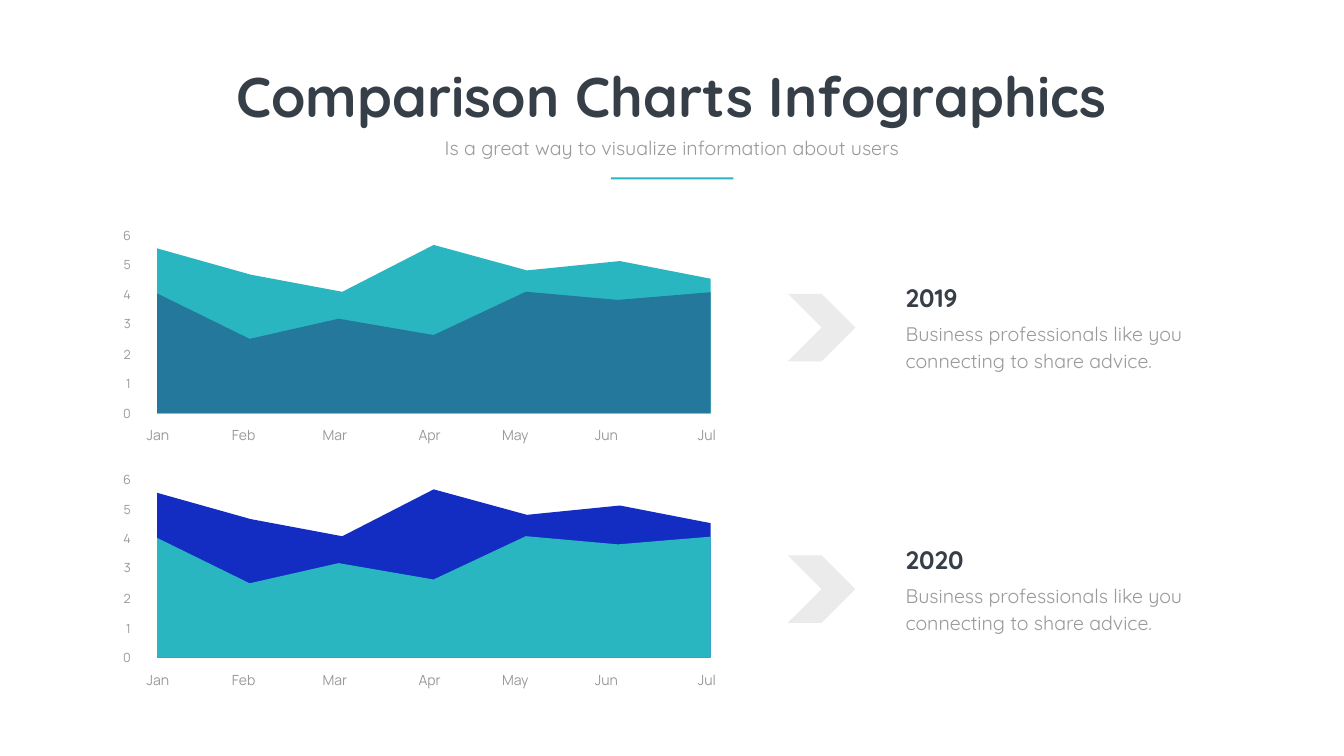
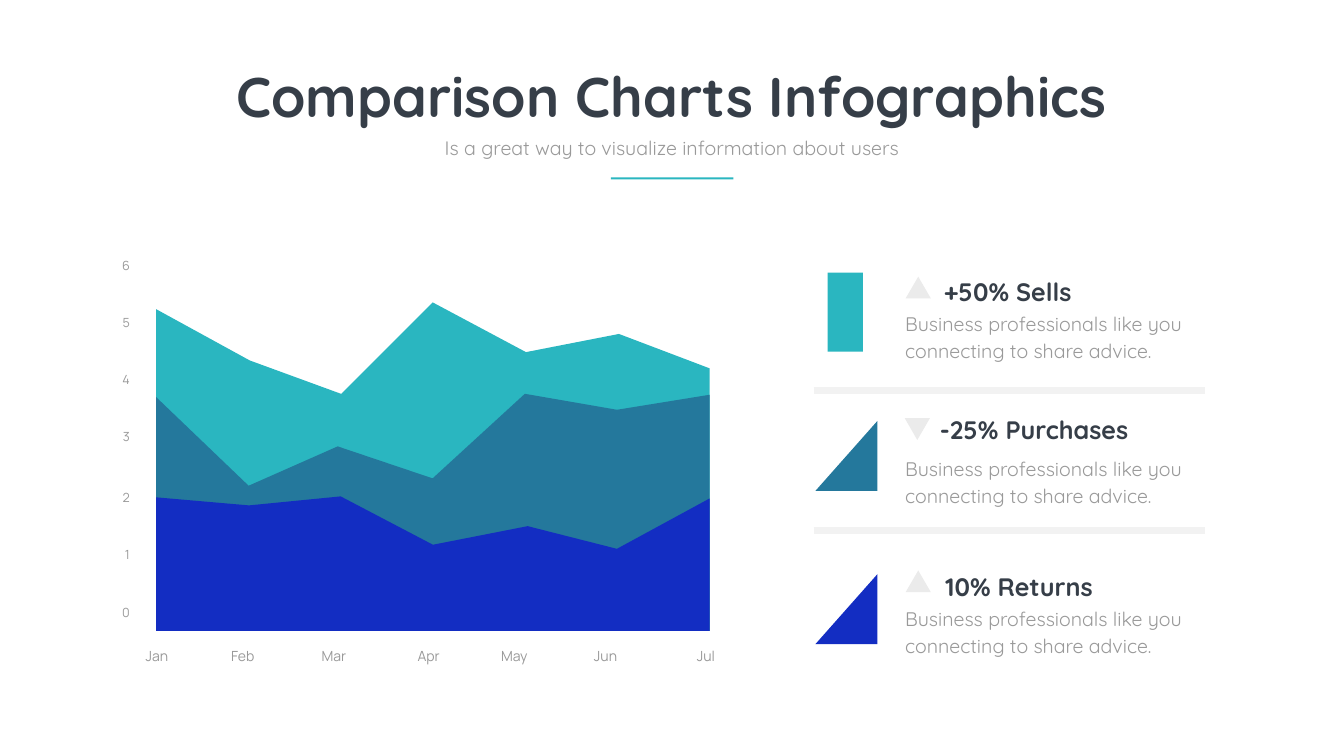
"""Build two comparison chart slides with layered areas and captions."""
from dataclasses import dataclass
from typing import Any, NamedTuple

from lxml.etree import SubElement
from pptx import Presentation
from pptx.dml.color import RGBColor
from pptx.enum.shapes import MSO_CONNECTOR, MSO_SHAPE
from pptx.enum.text import PP_ALIGN
from pptx.oxml.ns import qn
from pptx.util import Pt


@dataclass(frozen=True)
class Theme:
    teal: str = "2AB6C0"
    steel: str = "24789C"
    blue: str = "132DC2"
    ink: str = "363E48"
    muted: str = "999999"
    marker: str = "EBEBEB"
    rule: str = "F2F2F2"
    text_font: str = "Quicksand"
    axis_font: str = "Manrope"
    title_size: float = 80
    heading_size: float = 36
    body_size: float = 28
    month_size: float = 20
    tick_size: float = 18
    body_spacing: float = 38.6
    axis_spacing: float = 35.6


THEME = Theme()


class Frame(NamedTuple):
    left: float
    top: float
    width: float
    height: float


class TextStyle(NamedTuple):
    size: float
    color: str = THEME.muted
    name: str = THEME.text_font
    bold: bool = False
    alignment: Any = PP_ALIGN.LEFT
    line_spacing: float | None = None
    wrap: bool = True


class Outline(NamedTuple):
    offsets: tuple[float, ...]
    depths: tuple[float, ...]


class Layer(NamedTuple):
    outline: Outline
    color: str


class Plot(NamedTuple):
    left: float
    top: float
    height: float
    layers: tuple[Layer, ...]


class Year(NamedTuple):
    label: str
    top: float
    plot: Plot


class Metric(NamedTuple):
    label: str
    heading_left: float
    heading_top: float
    body_top: float
    swatch: Any
    swatch_frame: Frame
    swatch_color: str
    marker_left: float
    marker_top: float
    marker_rotation: float = 0


TITLE = TextStyle(THEME.title_size, THEME.ink, bold=True, alignment=PP_ALIGN.CENTER, wrap=False)
SUBTITLE = TextStyle(THEME.body_size, alignment=PP_ALIGN.CENTER)
HEADING = TextStyle(THEME.heading_size, THEME.ink, bold=True)
BODY = TextStyle(THEME.body_size, line_spacing=THEME.body_spacing)
MONTH = TextStyle(THEME.month_size, name=THEME.axis_font, alignment=PP_ALIGN.CENTER,
                  line_spacing=THEME.axis_spacing)
TICK = TextStyle(THEME.tick_size, name=THEME.axis_font, alignment=PP_ALIGN.RIGHT,
                 line_spacing=THEME.axis_spacing)

ADVICE = "Business professionals like you connecting to share advice."
BASE_HEIGHT = 240.5
PLOT_WIDTH = 790.6
MONTHS = {"Jan": -50.4, "Feb": 72, "Mar": 202.3, "Apr": 337.7,
          "May": 460.1, "Jun": 590.4, "Jul": 733.7}
TICKS = {"6": -41.8, "5": 0, "4": 41.8, "3": 83.5, "2": 128, "1": 170, "0": 212.4}
UPPER = Outline((0, 133.6, 264.4, 395, 528.2, 661, PLOT_WIDTH),
                (5, 42.5, 67, 0, 36.4, 23.1, 48.3))
MIDDLE = Outline((0, 132, 259.2, 394.8, 526.6, 658.2, PLOT_WIDTH),
                 (69.4, 134.2, 105.4, 128.8, 66.9, 78.6, 67.6))
LOWER = Outline((0, 132.5, 263.5, 395.3, 530.6, 658.1, PLOT_WIDTH),
                (142.7, 148.6, 142, 177.4, 163.8, 180.4, 143.5))

YEARS = (
    Year("2019", 400.3, Plot(224.6, 349.9, BASE_HEIGHT,
                             (Layer(UPPER, THEME.teal), Layer(MIDDLE, THEME.steel)))),
    Year("2020", 774, Plot(224.6, 699.1, BASE_HEIGHT,
                           (Layer(UPPER, THEME.blue), Layer(MIDDLE, THEME.teal)))),
)
TRENDS = Plot(223.2, 432, 469.4, (Layer(UPPER, THEME.teal), Layer(MIDDLE, THEME.steel),
                                  Layer(LOWER, THEME.blue)))
METRICS = (
    Metric("+50% Sells", 1341.4, 391.7, 437, MSO_SHAPE.RECTANGLE,
           Frame(1182.2, 389.5, 50.4, 113), THEME.teal, 1293.8, 395.3),
    Metric("-25% Purchases", 1335.6, 589, 644.4, MSO_SHAPE.RIGHT_TRIANGLE,
           Frame(1165, 601.2, 88.6, 100), THEME.steel, 1288, 589.7, 300),
    Metric("10% Returns", 1343.5, 812.9, 858.2, MSO_SHAPE.RIGHT_TRIANGLE,
           Frame(1165, 820.1, 88.6, 100), THEME.blue, 1293.8, 815),
)


def set_values(target: Any, values: dict[str, Any]) -> None:
    """Set every named attribute on the target."""
    for name, value in values.items():
        setattr(target, name, value)


def paint(shape: Any, color: str) -> Any:
    """Give a shape a plain fill with no line or shadow."""
    shape.shadow.inherit = False
    shape.fill.solid()
    shape.fill.fore_color.rgb = RGBColor.from_string(color)
    shape.line.fill.background()
    return shape


def add_block(page: Any, kind: Any, frame: Frame, color: str) -> Any:
    """Draw a filled preset shape."""
    return paint(page.shapes.add_shape(kind, *map(Pt, frame)), color)


def add_text(page: Any, text: str, frame: Frame, style: TextStyle) -> None:
    """Write one paragraph in a text box."""
    box = page.shapes.add_textbox(*map(Pt, frame))
    box.text_frame.word_wrap = style.wrap
    para = box.text_frame.paragraphs[0]
    spacing = Pt(style.line_spacing) if style.line_spacing else None
    set_values(para, {"alignment": style.alignment, "line_spacing": spacing})
    span = para.add_run()
    span.text = text
    set_values(span.font, {"size": Pt(style.size), "name": style.name, "bold": style.bold})
    span.font.color.rgb = RGBColor.from_string(style.color)


def add_header(page: Any) -> None:
    """Draw the shared title, subtitle and accent bar."""
    add_text(page, "Comparison Charts Infographics", Frame(321.8, 84.2, 1275.1, 104.4), TITLE)
    add_text(page, "Is a great way to visualize information about users",
             Frame(615.6, 190.8, 688.3, 41), SUBTITLE)
    add_block(page, MSO_SHAPE.RECTANGLE, Frame(872.6, 253.4, 175, 2.9), THEME.teal)


def add_plot(page: Any, plot: Plot) -> None:
    """Draw the stacked outlines and the axis labels of a plot."""
    scale = plot.height / BASE_HEIGHT
    bottom = plot.top + plot.height
    for outline, color in plot.layers:
        points = [(Pt(plot.left + offset), Pt(plot.top + depth * scale))
                  for offset, depth in zip(outline.offsets, outline.depths)]
        corners = [(Pt(plot.left + PLOT_WIDTH), Pt(bottom)), (Pt(plot.left), Pt(bottom))]
        builder = page.shapes.build_freeform(*points[0])
        builder.add_line_segments(points[1:] + corners, close=True)
        paint(builder.convert_to_shape(), color)
    for month, offset in MONTHS.items():
        add_text(page, month, Frame(plot.left + offset, bottom + 4.3 * scale, 103, 40.3), MONTH)
    for tick, depth in TICKS.items():
        add_text(page, tick, Frame(plot.left - 81, plot.top + depth * scale, 50.4, 40.3), TICK)


def add_year(page: Any, year: Year) -> None:
    """Draw a year's plot, chevron and caption."""
    add_plot(page, year.plot)
    add_block(page, MSO_SHAPE.CHEVRON, Frame(1125.4, year.top + 19.4, 96.5, 96.5), THEME.marker)
    add_text(page, year.label, Frame(1286.6, year.top, 344.2, 51.1), HEADING)
    add_text(page, ADVICE, Frame(1286.6, year.top + 51.1, 451.4, 85), BODY)


def add_metric(page: Any, metric: Metric) -> None:
    """Draw a metric's swatch, direction marker and caption."""
    swatch = add_block(page, metric.swatch, metric.swatch_frame, metric.swatch_color)
    if metric.swatch == MSO_SHAPE.RIGHT_TRIANGLE:
        swatch._element.spPr.find(qn("a:xfrm")).set("flipH", "1")
    marker = add_block(page, MSO_SHAPE.ISOSCELES_TRIANGLE,
                       Frame(metric.marker_left, metric.marker_top, 36, 31), THEME.marker)
    marker.rotation = metric.marker_rotation
    add_text(page, metric.label,
             Frame(metric.heading_left, metric.heading_top, 374.4, 51.1), HEADING)
    add_text(page, ADVICE, Frame(1285.9, metric.body_top, 455, 85), BODY)


def add_divider(page: Any, top: float) -> None:
    """Draw a horizontal divider between metrics."""
    divider = page.shapes.add_connector(MSO_CONNECTOR.STRAIGHT,
                                        Pt(1162.8), Pt(top), Pt(1720.8), Pt(top))
    divider.line.width = Pt(10)
    divider.line.color.rgb = RGBColor.from_string(THEME.rule)
    SubElement(divider._element.spPr, qn("a:effectLst"))


def main() -> None:
    """Build and save the deck."""
    deck = Presentation()
    set_values(deck, {"slide_width": Pt(1920), "slide_height": Pt(1080)})
    years_page, trends_page = (deck.slides.add_slide(deck.slide_layouts[6]) for _ in range(2))
    for page in (years_page, trends_page):
        add_header(page)
    for year in YEARS:
        add_year(years_page, year)
    add_plot(trends_page, TRENDS)
    for top in (558, 757.4):
        add_divider(trends_page, top)
    for metric in METRICS:
        add_metric(trends_page, metric)
    deck.save("out.pptx")


if __name__ == "__main__":
    main()
